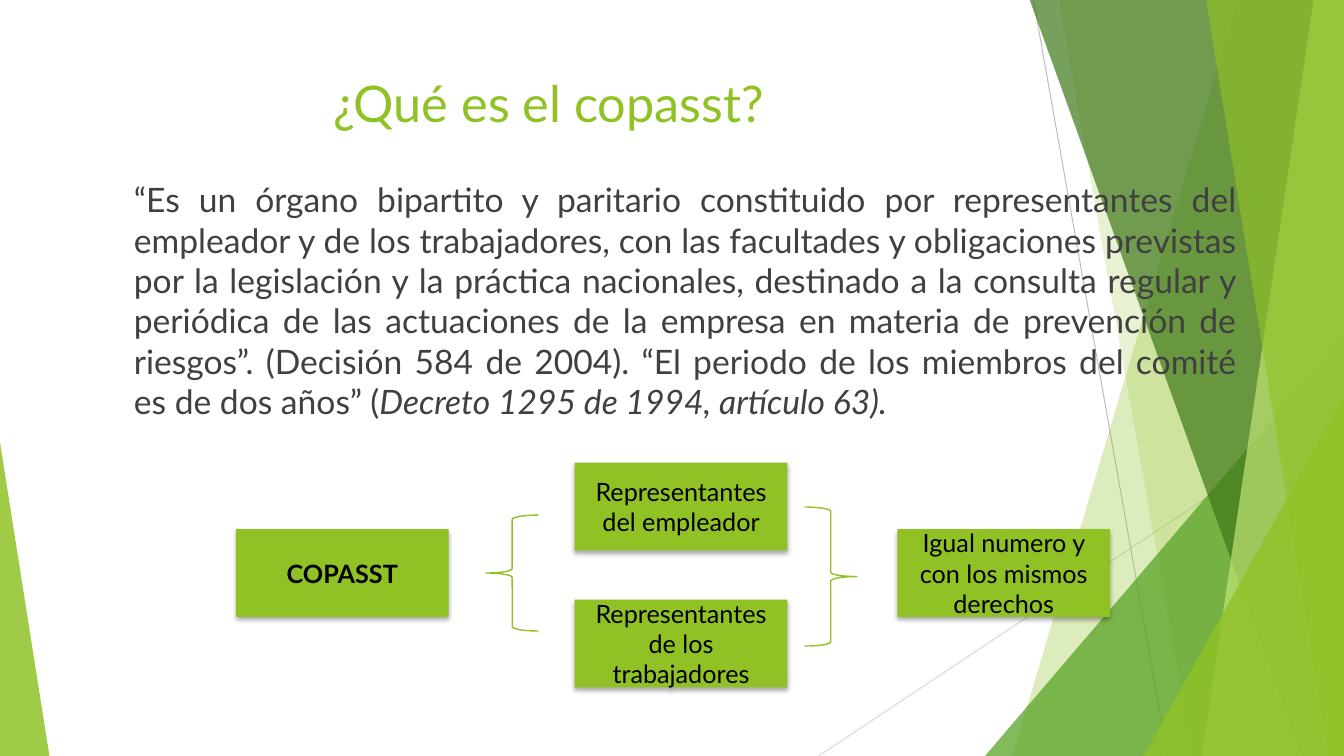
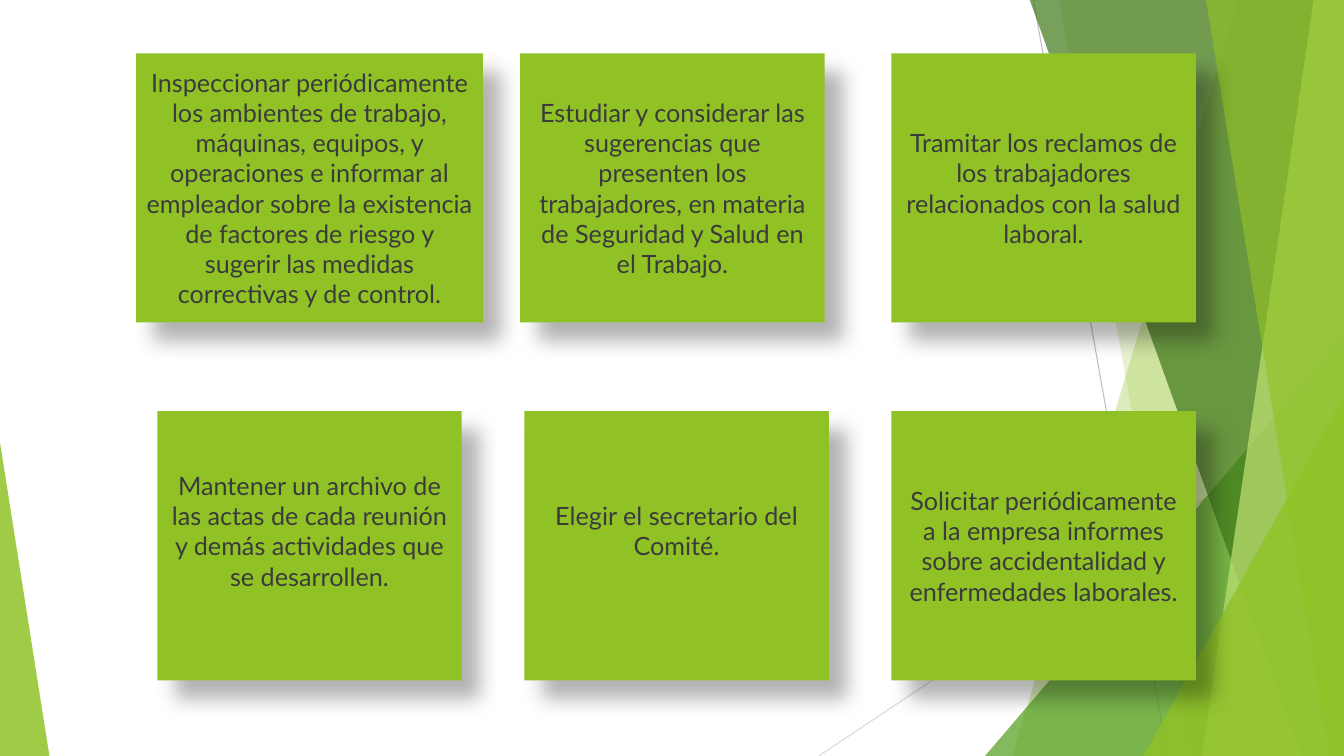
from lxml.etree import SubElement
from pptx import Presentation
from pptx.dml.color import RGBColor
from pptx.enum.shapes import MSO_CONNECTOR as Connector, MSO_SHAPE as Shape
from pptx.enum.text import MSO_ANCHOR as Anchor, MSO_AUTO_SIZE as AutoSize, PP_ALIGN as Align
from pptx.oxml.ns import qn
from pptx.util import Inches, Pt


class Theme:
    font = "Lato"
    lime = RGBColor.from_string("90C226")
    pale_lime = RGBColor.from_string("C0E474")
    green = RGBColor.from_string("54A021")
    forest = RGBColor.from_string("3F7819")
    body_gray = RGBColor.from_string("404040")
    card_gray = RGBColor.from_string("3B3B3B")
    black = RGBColor.from_string("000000")
    line_grays = RGBColor.from_string("BFBFBF"), RGBColor.from_string("D9D9D9")
    title_size = Pt(36)
    body_size = Pt(24)
    box_size = Pt(18)
    box_shadow = {"alpha": 32, "blur": 3.5, "distance": 2.2, "angle": 90}
    card_shadow = {"alpha": 30, "blur": 15, "distance": 18, "angle": 45}


def style_shape(shape, color, alpha=100, shadow=None):
    shape.fill.solid()
    shape.fill.fore_color.rgb = color
    shape.line.fill.background()
    shape.shadow.inherit = False
    properties = shape.element.spPr
    if alpha < 100:
        SubElement(properties.find(qn("a:solidFill"))[0], qn("a:alpha"), val=str(alpha * 1000))
    if shadow:
        outer = SubElement(
            properties.find(qn("a:effectLst")), qn("a:outerShdw"),
            blurRad=str(Pt(shadow["blur"])), dist=str(Pt(shadow["distance"])),
            dir=str(shadow["angle"] * 60000), algn="tl", rotWithShape="0")
        shadow_color = SubElement(outer, qn("a:srgbClr"), val=str(Theme.black))
        SubElement(shadow_color, qn("a:alpha"), val=str(shadow["alpha"] * 1000))


def write_text(shape, runs, size, color, alignment=Align.CENTER, anchor=Anchor.MIDDLE):
    frame = shape.text_frame
    frame_format = {"word_wrap": True, "auto_size": AutoSize.NONE, "vertical_anchor": anchor}
    for name, value in frame_format.items():
        setattr(frame, name, value)
    paragraph = frame.paragraphs[0]
    paragraph.alignment = alignment
    for text, extra in runs:
        run = paragraph.add_run()
        run.text = text
        run.font.color.rgb = color
        for name, value in {"name": Theme.font, "size": size, **extra}.items():
            setattr(run.font, name, value)
    return paragraph


presentation = Presentation()
presentation.slide_width = Inches(13.33)
presentation.slide_height = Inches(7.5)
definition_slide = presentation.slides.add_slide(presentation.slide_layouts[5])
duties_slide = presentation.slides.add_slide(presentation.slide_layouts[6])

backdrop = duties_slide.shapes.add_group_shape()
rays = [(10.25, 0, 11.58, 7.5), (13.33, 4.03, 8.12, 7.5)]
for ends, gray in zip(rays, Theme.line_grays):
    ray = backdrop.shapes.add_connector(Connector.STRAIGHT, *map(Inches, ends))
    ray.line.color.rgb = gray
    ray.line.width = Pt(0.75)
    SubElement(ray.element.spPr, qn("a:effectLst"))

facets = [
    ("band", (12.28, 10.04), Theme.lime, 30),
    ("band", (10.5, 11.83), Theme.lime, 20),
    ("triangle", (9.77, 3.33, 3.56, 4.17, 1), Theme.green, 72),
    ("band", (10.21, 12.91), Theme.forest, 70),
    ("band", (13.03, 11.92), Theme.pale_lime, 70),
    ("band", (11.96, 13.18), Theme.lime, 65),
    ("triangle", (11.34, 3.93, 1.99, 3.57, 1), Theme.lime, 80),
    ("triangle", (0, 4.39, 0.49, 3.11, 0), Theme.lime, 85),
]
for kind, geometry, color, alpha in facets:
    if kind == "band":
        top_x, bottom_x = geometry
        builder = backdrop.shapes.build_freeform(Inches(top_x), Inches(-0.01))
        corners = [(13.33, -0.01), (13.33, 7.5), (bottom_x, 7.5)]
        builder.add_line_segments([(Inches(x), Inches(y)) for x, y in corners], close=True)
        facet = builder.convert_to_shape()
    else:
        *box, apex = geometry
        facet = backdrop.shapes.add_shape(Shape.ISOSCELES_TRIANGLE, *map(Inches, box))
        facet.adjustments[0] = apex
    style_shape(facet, color, alpha)

for number, properties in enumerate(backdrop.element.iter(qn("p:cNvPr")), 20):
    properties.set("id", str(number))
presentation.slide_master.shapes.element.insert(2, backdrop.element)

title = definition_slide.shapes.title
title_place = {"left": 0.74, "top": 0.67, "width": 9.4, "height": 1.44}
for name, value in title_place.items():
    setattr(title, name, Inches(value))
write_text(title, [("¿Qué es el copasst?", {})], Theme.title_size, Theme.lime, anchor=Anchor.TOP)

definition = definition_slide.shapes.add_textbox(*map(Inches, (1.23, 1.73, 11.13, 2.74)))
definition_runs = [
    ("“Es un órgano bipartito y paritario constituido por representantes del empleador y de los "
     "trabajadores, con las facultades y obligaciones previstas por la legislación y la práctica "
     "nacionales, destinado a la consulta regular y periódica de las actuaciones de la empresa en "
     "materia de prevención de riesgos”. (Decisión 584 de 2004). “El periodo de los miembros del "
     "comité es de dos años” (", {}),
    ("Decreto 1295 de 1994, artículo 63).", {"italic": True}),
]
paragraph = write_text(definition, definition_runs, Theme.body_size, Theme.body_gray,
                       Align.JUSTIFY, Anchor.TOP)
paragraph.space_before = Pt(10)

members = [
    (2.34, 5.25, "COPASST", {"bold": True}),
    (5.7, 4.59, "Representantes del empleador", {}),
    (5.7, 5.95, "Representantes de los trabajadores", {}),
    (8.9, 5.25, "Igual numero y con los mismos derechos", {}),
]
for left, top, text, extra in members:
    member = definition_slide.shapes.add_shape(
        Shape.RECTANGLE, *map(Inches, (left, top, 2.11, 0.87)))
    style_shape(member, Theme.lime, shadow=Theme.box_shadow)
    write_text(member, [(text, extra)], Theme.box_size, Theme.black)

braces = [
    (Shape.LEFT_BRACE, (4.82, 5.11, 0.52, 1.15)),
    (Shape.RIGHT_BRACE, (7.98, 5.03, 0.52, 1.38)),
]
for kind, box in braces:
    brace = definition_slide.shapes.add_shape(kind, *map(Inches, box))
    brace.fill.background()
    brace.line.color.rgb = Theme.lime
    brace.line.width = Pt(1)
    brace.shadow.inherit = False

card_width, card_height = 3.02, 2.67
first_left, column_step = 1.56, 3.64
first_top, row_step = 0.53, 3.55
duties = [
    ("Inspeccionar periódicamente los ambientes de trabajo, máquinas, equipos, y operaciones e "
     "informar al empleador sobre la existencia de factores de riesgo y sugerir las medidas "
     "correctivas y de control.", {"shift": -0.21, "widen": 0.42}),
    ("Estudiar y considerar las sugerencias que presenten los trabajadores, en materia de "
     "Seguridad y Salud en el Trabajo.", {"shift": -0.04}),
    ("Tramitar los reclamos de los trabajadores relacionados con la salud laboral.", {}),
    ("Mantener un archivo de las actas de cada reunión y demás actividades que se desarrollen.",
     {"bottom": 0.35}),
    ("Elegir el secretario del Comité.", {"bottom": 0.35}),
    ("Solicitar periódicamente a la empresa informes sobre accidentalidad y enfermedades "
     "laborales.", {}),
]
for index, (text, layout) in enumerate(duties):
    row, column = divmod(index, 3)
    card = duties_slide.shapes.add_shape(
        Shape.RECTANGLE,
        Inches(first_left + column * column_step + layout.get("shift", 0)),
        Inches(first_top + row * row_step),
        Inches(card_width + layout.get("widen", 0)),
        Inches(card_height))
    style_shape(card, Theme.lime, shadow=Theme.card_shadow)
    write_text(card, [(text, {})], Theme.box_size, Theme.card_gray)
    card.text_frame.margin_bottom = Inches(layout.get("bottom", 0.05))

presentation.save("out.pptx")
